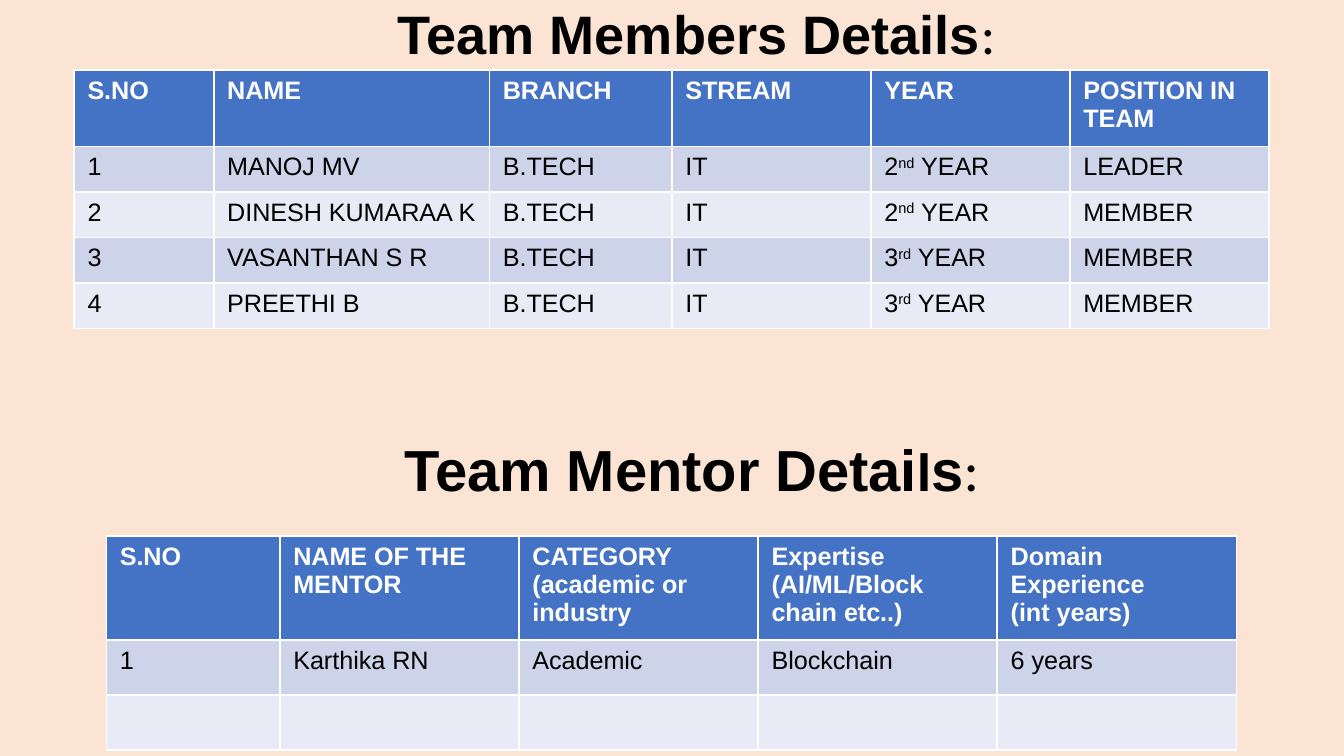
from dataclasses import dataclass

from pptx import Presentation
from pptx import util as u
from pptx.dml.color import RGBColor
from pptx.enum import text

BLACK, WHITE = "000000", "FFFFFF"
BACKGROUND, HEADER = "FBE4D4", "4472C4"
BANDS = ("CDD4EA", "E8EBF5")
CELL_SIZE = 13.5


@dataclass
class Phrase:
    words: str
    size: float
    font: str = "Arial"
    bold: bool = True


@dataclass
class Title:
    left: float
    top: float
    line_spacing: float
    phrases: list[Phrase]


@dataclass
class Grid:
    left: float
    top: float
    widths: list[float]
    heights: list[float]
    rows: list[list[str]]  # ^ marks the start and end of a superscript


def colour(value: str) -> RGBColor:
    return RGBColor.from_string(value)


def add_run(paragraph, phrase: Phrase, ink: str, raised: bool = False) -> None:
    run = paragraph.add_run()
    run.text = phrase.words
    run.font.name = phrase.font
    run.font.size = u.Pt(phrase.size)
    run.font.bold = phrase.bold
    run.font.color.rgb = colour(ink)
    if raised:
        run._r.get_or_add_rPr().set("baseline", "30000")


def draw_title(slide, title: Title) -> None:
    shape = slide.shapes.add_textbox(
        u.Cm(title.left), u.Cm(title.top), u.Cm(11.81), u.Cm(2.77))
    frame = shape.text_frame
    frame.word_wrap = True
    frame.margin_right = 0
    frame.vertical_anchor = text.MSO_ANCHOR.MIDDLE
    paragraph = frame.paragraphs[0]
    paragraph.line_spacing = title.line_spacing
    for phrase in title.phrases:
        add_run(paragraph, phrase, BLACK)


def fill_cell(cell, words: str, row: int) -> None:
    is_header = row == 0
    cell.fill.solid()
    cell.fill.fore_color.rgb = colour(HEADER if is_header else BANDS[(row - 1) % 2])
    if not words:
        return
    for index, line in enumerate(words.split("\n")):
        frame = cell.text_frame
        paragraph = frame.add_paragraph() if index else frame.paragraphs[0]
        for position, piece in enumerate(line.split("^")):
            add_run(paragraph, Phrase(piece, CELL_SIZE, bold=is_header),
                    WHITE if is_header else BLACK, raised=position % 2 == 1)


def draw_grid(slide, grid: Grid) -> None:
    # The default table style supplies the white cell borders
    table = slide.shapes.add_table(
        len(grid.rows), len(grid.widths), u.Cm(grid.left), u.Cm(grid.top),
        u.Cm(sum(grid.widths)), u.Cm(sum(grid.heights))).table
    for column, width in zip(table.columns, grid.widths):
        column.width = u.Cm(width)
    for row, height in zip(table.rows, grid.heights):
        row.height = u.Cm(height)
    for row, values in enumerate(grid.rows):
        for column, words in enumerate(values):
            fill_cell(table.cell(row, column), words, row)


TITLES = [
    Title(7.26, -0.69, 0.9, [
        Phrase("Team Members Details", 29), Phrase(":", 29, "Calibri", False)]),
    Title(7.39, 7.59, 0.8, [
        Phrase("Team Mentor Detai", 31), Phrase("l", 28), Phrase("s", 31),
        Phrase(":", 31, "Calibri", False)]),
]

MEMBERS = [
    ("MANOJ MV", "2^nd^ YEAR", "LEADER"),
    ("DINESH KUMARAA K", "2^nd^ YEAR", "MEMBER"),
    ("VASANTHAN S R", "3^rd^ YEAR", "MEMBER"),
    ("PREETHI B", "3^rd^ YEAR", "MEMBER"),
]

GRIDS = [
    Grid(1.4, 1.32, [2.64, 5.21, 3.45] + [3.76] * 3, [1.45] + [0.86] * 4,
         [["S.NO", "NAME", "BRANCH", "STREAM", "YEAR", "POSITION IN TEAM"]]
         + [[str(number), name, "B.TECH", "IT", year, position]
            for number, (name, year, position) in enumerate(MEMBERS, 1)]),
    Grid(2.01, 10.13, [3.28] + [4.52] * 4, [1.04] * 3,
         [["S.NO", "NAME OF THE MENTOR", "CATEGORY\n(academic or industry",
           "Expertise (AI/ML/Block chain etc..)",
           "Domain Experience\n(int years)"],
          ["1", "Karthika RN", "Academic", "Blockchain", "6 years"],
          [""] * 5]),
]


def main() -> None:
    presentation = Presentation()
    presentation.slide_width = u.Cm(25.4)
    presentation.slide_height = u.Cm(14.29)
    slide = presentation.slides.add_slide(presentation.slide_layouts[6])
    slide.background.fill.solid()
    slide.background.fill.fore_color.rgb = colour(BACKGROUND)

    # Each heading with its table
    for title, grid in zip(TITLES, GRIDS):
        draw_title(slide, title)
        draw_grid(slide, grid)

    presentation.save("out.pptx")


if __name__ == "__main__":
    main()
